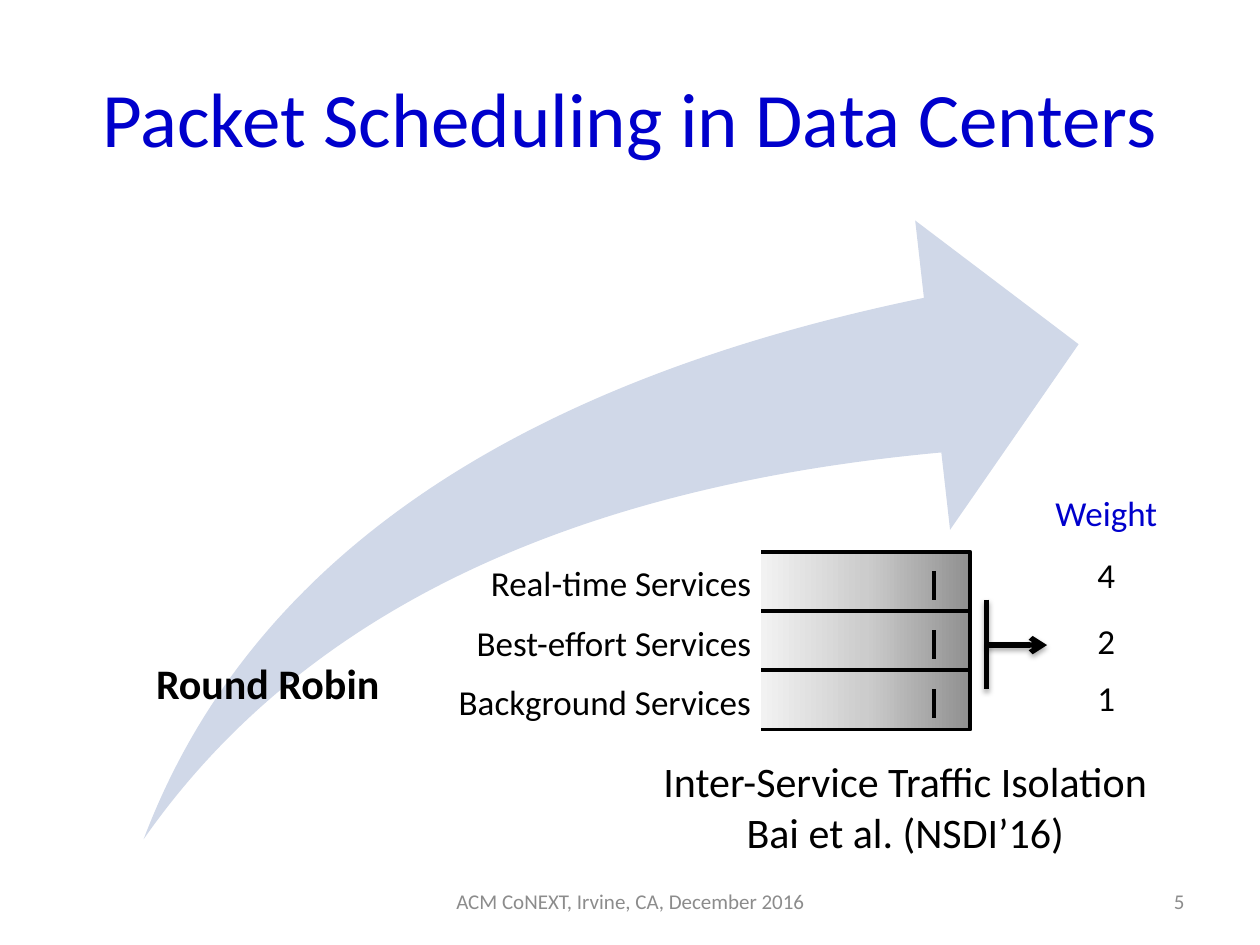
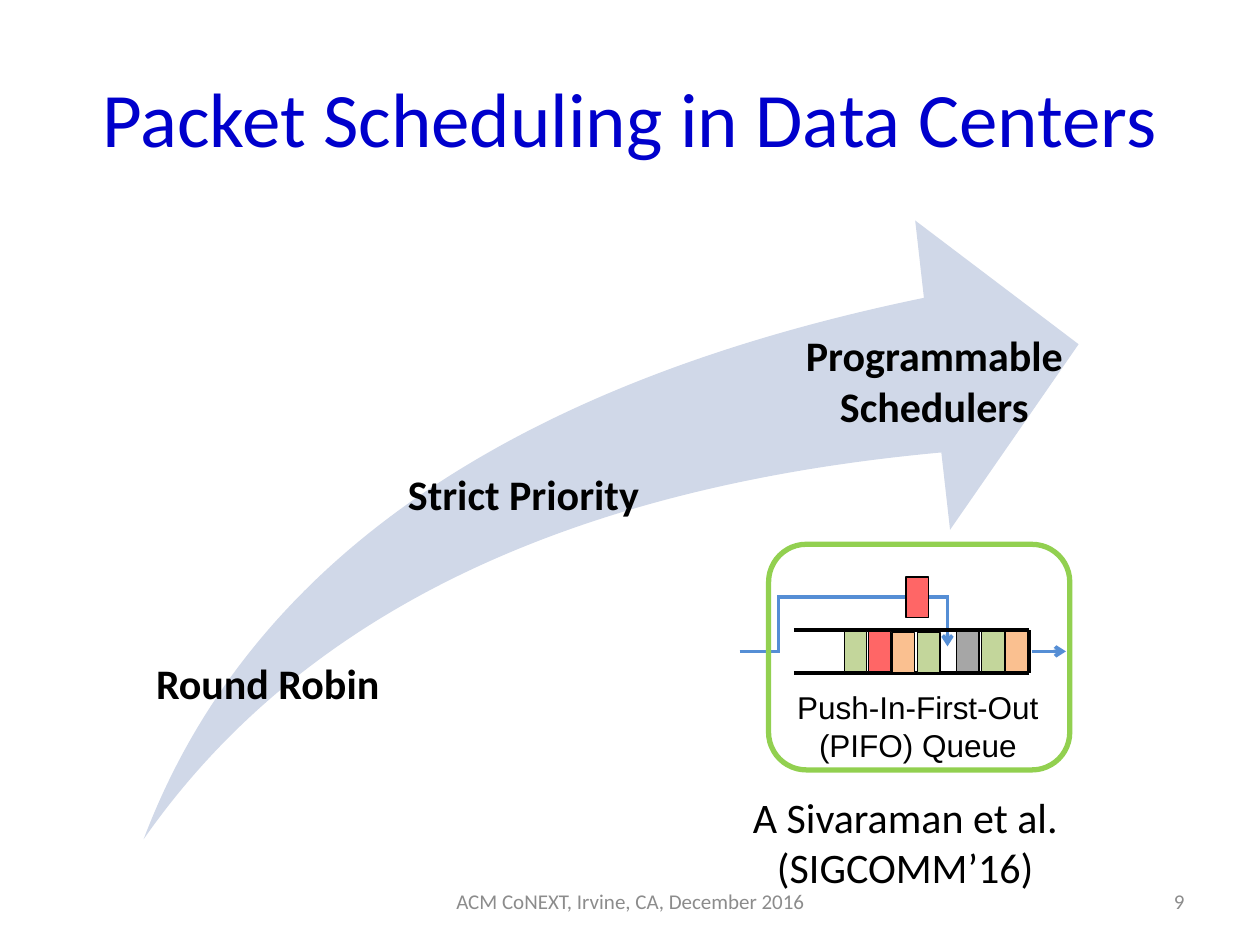
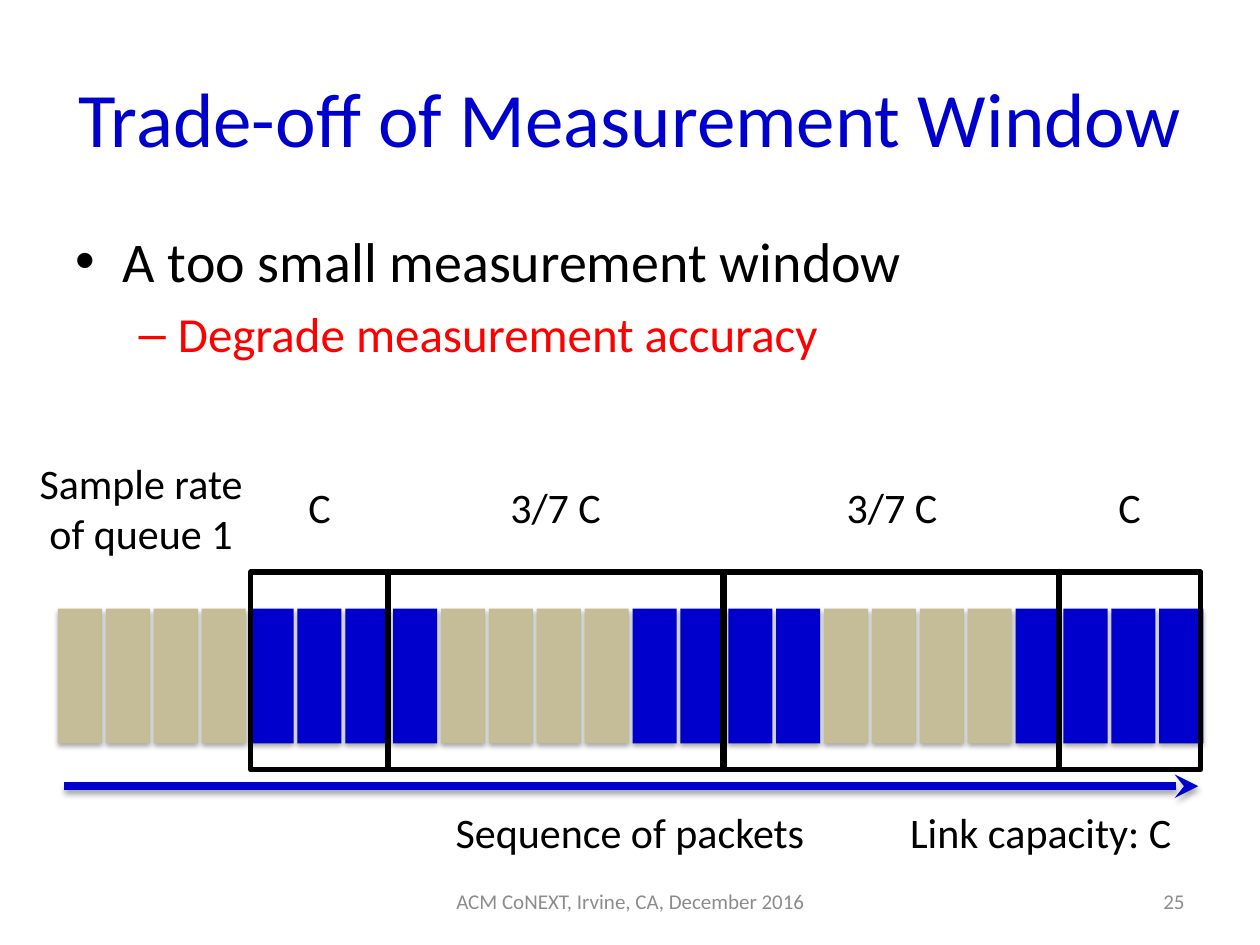
"""Build three slides on packet scheduling and measurement windows."""
from copy import deepcopy
from dataclasses import dataclass

from lxml.etree import SubElement
from pptx import Presentation
from pptx.dml.color import RGBColor
from pptx.enum.shapes import MSO_CONNECTOR, MSO_SHAPE
from pptx.enum.text import MSO_ANCHOR, MSO_AUTO_SIZE, PP_ALIGN
from pptx.oxml.ns import qn
from pptx.util import Inches, Pt


@dataclass(frozen=True)
class Theme:
    """Fonts, type sizes and colours of the deck."""
    font: str = "Calibri"
    plain_font: str = "Arial"
    title_size: int = 44
    list_sizes: tuple = (32, 28)
    text_size: int = 24
    label_size: int = 20
    caption_size: int = 18
    footer_size: int = 12
    blue: str = "0000CC"
    black: str = "000000"
    red: str = "FF0000"
    grey: str = "8C8C8C"
    swoosh: str = "D0D8E8"
    tan: str = "C4BD97"
    path_blue: str = "558ED5"
    frame_green: str = "92D050"
    packet_green: str = "C3D69B"
    packet_red: str = "FF6666"
    packet_orange: str = "FAC090"
    packet_grey: str = "A6A6A6"
    queue_stops: tuple = ((0, "909090"), (0.5, "CCCCCC"), (1, "F2F2F2"))


class SlideBuilder:
    """Draw styled elements on the current slide."""

    def __init__(self, deck, theme):
        self.deck = deck
        self.theme = theme
        self.page = None

    def new_page(self, title, number, layout="Title Only"):
        """Start a slide with its title, footer and number."""
        theme = self.theme
        self.page = self.deck.slides.add_slide(self.deck.slide_layouts.get_by_name(layout))
        heading = self.page.shapes.title
        self.place(heading, 0.5, 0.3, 9, 1.25)
        heading.text_frame.text = title
        self.style(heading.text_frame.paragraphs[0], theme.title_size, theme.blue)
        for text, left, width, align in (
            ("ACM CoNEXT, Irvine, CA, December 2016", 3.42, 3.17, PP_ALIGN.CENTER),
            (number, 7.17, 2.33, PP_ALIGN.RIGHT),
        ):
            box = self.text(text, left, 6.95, width, 0.4, theme.footer_size,
                            theme.grey, align=align)
            box.text_frame.auto_size = MSO_AUTO_SIZE.NONE
            box.text_frame.vertical_anchor = MSO_ANCHOR.MIDDLE

    def place(self, shape, left, top, width, height):
        """Move and size a shape, in inches."""
        shape.left, shape.top = Inches(left), Inches(top)
        shape.width, shape.height = Inches(width), Inches(height)

    def style(self, para, size, color, bold=False, font=None):
        """Set the font of a paragraph."""
        para.font.name = font or self.theme.font
        para.font.size = Pt(size)
        para.font.bold = bold
        para.font.color.rgb = RGBColor.from_string(color)

    def text(self, text, left, top, width, height=0.5, size=None, color=None,
             bold=False, align=PP_ALIGN.CENTER, font=None):
        """Add a wrapping text box with one paragraph per line."""
        box = self.page.shapes.add_textbox(
            Inches(left), Inches(top), Inches(width), Inches(height))
        frame = box.text_frame
        frame.word_wrap = True
        frame.auto_size = MSO_AUTO_SIZE.SHAPE_TO_FIT_TEXT
        frame.text = text
        for para in frame.paragraphs:
            para.alignment = align
            self.style(para, size or self.theme.text_size,
                       color or self.theme.black, bold, font)
        return box

    def bullets(self, items):
        """Fill the body placeholder with (level, text, colour) items."""
        body = self.page.placeholders[1]
        self.place(body, 0.5, 1.75, 9, 4.95)
        frame = body.text_frame
        frame.text = "\n".join(text for _, text, _ in items)
        for para, (level, _, color) in zip(frame.paragraphs, items):
            para.level = level
            self.style(para, self.theme.list_sizes[level], color)

    def effect(self, shape, shadow):
        """Replace the theme shadow by a soft drop shadow or by none."""
        effects = SubElement(shape.element.spPr, qn("a:effectLst"))
        if shadow:
            outer = SubElement(effects, qn("a:outerShdw"), blurRad=str(Pt(3.1)),
                               dist=str(Pt(1.8)), dir="5400000", rotWithShape="0")
            color = SubElement(outer, qn("a:srgbClr"), val=self.theme.black)
            SubElement(color, qn("a:alpha"), val="35000")

    def outline(self, shape, color, weight):
        """Set the outline of a shape, or remove it."""
        if color:
            shape.line.color.rgb = RGBColor.from_string(color)
            shape.line.width = Pt(weight)
        else:
            shape.line.fill.background()

    def shape(self, kind, left, top, width, height, fill=None, line=None,
              weight=0.75, shadow=False):
        """Add a preset shape."""
        shape = self.page.shapes.add_shape(
            kind, Inches(left), Inches(top), Inches(width), Inches(height))
        if fill:
            shape.fill.solid()
            shape.fill.fore_color.rgb = RGBColor.from_string(fill)
        else:
            shape.fill.background()
        self.outline(shape, line, weight)
        self.effect(shape, shadow)
        return shape

    def line(self, start, end, color, weight, arrow=None, shadow=False):
        """Add a straight line, with an optional arrowhead at its end."""
        connector = self.page.shapes.add_connector(
            MSO_CONNECTOR.STRAIGHT, *(Inches(value) for value in (*start, *end)))
        self.outline(connector, color, weight)
        if arrow:
            SubElement(connector.element.spPr.find(qn("a:ln")), qn("a:tailEnd"), type=arrow)
        self.effect(connector, shadow)

    def queue(self, left, top, width, height):
        """Add a shaded queue that is open on its left side."""
        right, bottom = left + width, top + height
        corners = [(Inches(x), Inches(y))
                   for x, y in ((right, top), (right, bottom), (left, bottom))]
        builder = self.page.shapes.build_freeform(Inches(left), Inches(top))
        builder.add_line_segments(corners, close=False)
        queue = builder.convert_to_shape()
        queue.fill.gradient()
        queue.fill.gradient_angle = 180
        stop_list = queue.element.spPr.find(qn("a:gradFill")).find(qn("a:gsLst"))
        stop_list.append(deepcopy(stop_list[-1]))
        for stop, (position, color) in zip(queue.fill.gradient_stops, self.theme.queue_stops):
            stop.position = position
            stop.color.rgb = RGBColor.from_string(color)
        self.outline(queue, self.theme.black, 2.25)
        self.effect(queue, False)
        self.line((7.41, top + 0.15), (7.41, top + 0.38), self.theme.black, 2.25)

    def evolution(self, *stages):
        """Draw the swoosh arrow and the (text, left, top) stages along it."""
        swoosh = self.shape(MSO_SHAPE.SWOOSH_ARROW, 1.14, 1.75, 7.42, 4.91, self.theme.swoosh)
        swoosh.adjustments[0] = swoosh.adjustments[1] = 0.25
        for text, left, top in stages:
            self.text(text, left, top, 3.89, bold=True)


ROUND_ROBIN = ("Round Robin", 0.18, 5.17)
SCHEDULING_TITLE = "Packet Scheduling in Data Centers"


def round_robin_page(builder):
    """Show weighted queues for three kinds of services."""
    theme = builder.theme
    builder.new_page(SCHEDULING_TITLE, "5")
    builder.evolution(ROUND_ROBIN)
    services = (("Real-time Services", "4", 4.34),
                ("Best-effort Services", "2", 4.87),
                ("Background Services", "1", 5.32))
    for row, (service, weight, weight_top) in enumerate(services):
        top = 4.38 + 0.47 * row
        builder.queue(6.04, top, 1.66, 0.47)
        builder.text(service, 2.44, top + 0.03, 3.62, 0.44, theme.label_size,
                     align=PP_ALIGN.RIGHT)
        builder.text(weight, 6.97, weight_top, 3.62, 0.44, theme.label_size)
    builder.text("Weight", 6.97, 3.85, 3.62, 0.44, theme.label_size, theme.blue)
    builder.line((7.83, 4.76), (7.83, 5.47), theme.black, 3, shadow=True)
    builder.line((7.83, 5.12), (8.31, 5.12), theme.black, 3, "arrow", shadow=True)
    builder.text("Inter-Service Traffic Isolation\nBai et al. (NSDI’16)", 4.87, 5.95, 4.63, 0.91)


def programmable_page(builder):
    """Show a push-in-first-out queue."""
    theme = builder.theme
    builder.new_page(SCHEDULING_TITLE, "9")
    builder.evolution(ROUND_ROBIN, ("Strict Priority", 2.21, 3.67),
                      ("Programmable\nSchedulers", 5.47, 2.57))
    for start, end, arrow in (
        ((5.87, 5.17), (6.18, 5.17), None),
        ((6.18, 5.18), (6.18, 4.73), None),
        ((6.17, 4.74), (7.53, 4.74), None),
        ((7.52, 4.73), (7.52, 5.13), "arrow"),
        ((8.19, 5.17), (8.46, 5.17), "arrow"),
    ):
        builder.line(start, end, theme.path_blue, 2, arrow)
    for start, end in (((6.3, 5), (8.17, 5)), ((6.3, 5.34), (8.17, 5.34)),
                       ((8.17, 5.34), (8.17, 5))):
        builder.line(start, end, theme.black, 2)
    for left, top, color in (
        (6.7, 5.01, theme.packet_green),
        (6.89, 5.01, theme.packet_red),
        (7.08, 5.02, theme.packet_orange),
        (7.28, 5.02, theme.packet_green),
        (7.59, 5.01, theme.packet_grey),
        (7.79, 5.01, theme.packet_green),
        (7.98, 5.01, theme.packet_orange),
        (7.19, 4.58, theme.packet_red),
    ):
        builder.shape(MSO_SHAPE.RECTANGLE, left, top, 0.18, 0.32, color, theme.black)
    builder.text("Push-In-First-Out (PIFO) Queue", 6.06, 5.41, 2.45, 0.71,
                 theme.caption_size, font=theme.plain_font)
    builder.shape(MSO_SHAPE.ROUNDED_RECTANGLE, 6.1, 4.32, 2.39, 1.79,
                  line=theme.frame_green, weight=3)
    builder.text("A Sivaraman et al. (SIGCOMM’16)", 4.87, 6.23, 4.63)


def window_page(builder):
    """Show sample rates over small measurement windows."""
    theme = builder.theme
    builder.new_page("Trade-off of Measurement Window", "25", "Title and Content")
    builder.bullets([(0, "A too small measurement window", theme.black),
                     (1, "Degrade measurement accuracy", theme.red)])
    builder.line((0.51, 6.24), (9.51, 6.24), theme.blue, 4.5, "stealth", shadow=True)
    for packet in range(24):
        color = (theme.tan, theme.blue)[packet // 4 % 2]
        builder.shape(MSO_SHAPE.RECTANGLE, 0.46 + 0.38 * packet, 4.83, 0.35, 1.07,
                      color, shadow=True)
    for rate, left, width in (("C", 1.99, 1.09), ("3/7 C", 3.08, 2.66),
                              ("3/7 C", 5.75, 2.66), ("C", 8.4, 1.13)):
        builder.shape(MSO_SHAPE.RECTANGLE, left, 4.54, width, 1.57, line=theme.black, weight=3)
        builder.text(rate, left, 3.77, width)
    builder.text("Sample rate of queue 1", 0.2, 3.58, 1.84, 0.91)
    builder.text("Sequence of packets", 2.29, 6.35, 5.42)
    builder.text("Link capacity: C", 5.55, 6.35, 5.42)


def main():
    """Build and save the deck."""
    deck = Presentation()
    deck.slide_width, deck.slide_height = Inches(10), Inches(7.5)
    builder = SlideBuilder(deck, Theme())
    round_robin_page(builder)
    programmable_page(builder)
    window_page(builder)
    deck.save("out.pptx")


if __name__ == "__main__":
    main()
